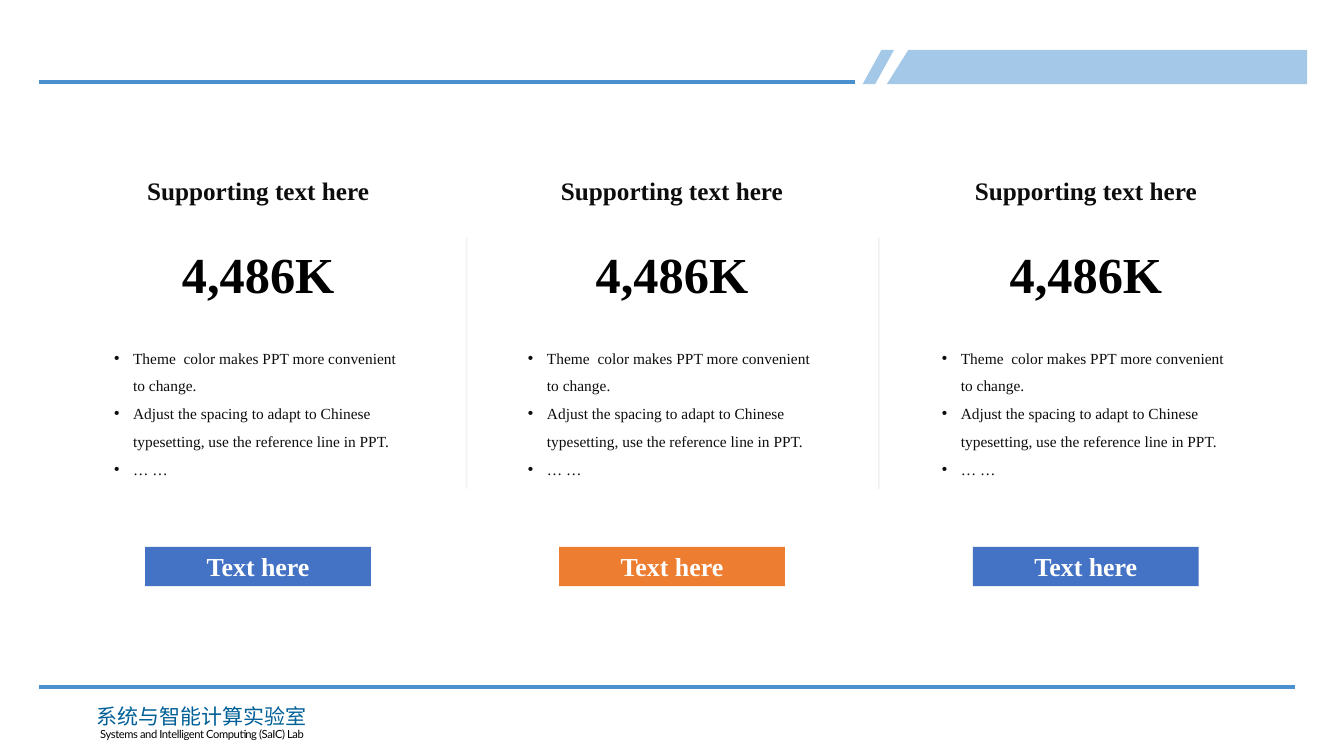
from lxml import etree
from pptx import Presentation
from pptx.dml.color import RGBColor
from pptx.enum.shapes import MSO_CONNECTOR, MSO_SHAPE
from pptx.enum.text import MSO_ANCHOR, MSO_AUTO_SIZE, PP_ALIGN
from pptx.oxml.ns import qn
from pptx.util import Cm, Pt

LINE = MSO_CONNECTOR.STRAIGHT
RECT, SLANT = MSO_SHAPE.RECTANGLE, MSO_SHAPE.PARALLELOGRAM
TOP, MIDDLE = MSO_ANCHOR.TOP, MSO_ANCHOR.MIDDLE
LEFT, CENTER = PP_ALIGN.LEFT, PP_ALIGN.CENTER
FIXED = MSO_AUTO_SIZE.NONE

HEX = {"rule": "4A90CF", "band": "3786CD", "lab": "006097", "ink": "0D0D0D",
       "black": "000000", "white": "FFFFFF", "gray": "808080",
       "blue": "4472C4", "orange": "ED7D31"}
SERIF, SANS, HAN = "Times New Roman", "Lato", "Noto Sans CJK SC"
POINTS = ["Theme  color makes PPT more convenient to change.",
          "Adjust the spacing to adapt to Chinese typesetting, "
          "use the reference line in PPT.",
          "… …"]


class Deck:
    """Holds the style and the current slide."""

    def __init__(self):
        self.prs = Presentation()
        self.prs.slide_width, self.prs.slide_height = Cm(33.87), Cm(19.05)
        self.slide = self.prs.slides.add_slide(self.prs.slide_layouts[4])
        self.shapes = self.slide.shapes

    def tint(self, color, name, alpha=100):
        color.rgb = RGBColor.from_string(HEX[name])
        if alpha < 100:
            node = color._xFill.find(qn("a:srgbClr"))
            etree.SubElement(node, qn("a:alpha"), val=str(alpha * 1000))

    def paint(self, shape, name, alpha=100):
        shape.shadow.inherit = False
        shape.line.fill.background()
        shape.fill.solid()
        self.tint(shape.fill.fore_color, name, alpha)
        return shape

    def put(self, para, text, size, color, font=SERIF, bold=False, align=CENTER):
        para.alignment = align
        run = para.add_run()
        run.text = text
        style = {"size": Pt(size), "name": font, "bold": bold}
        for key, value in style.items():
            setattr(run.font, key, value)
        self.tint(run.font.color, color)
        etree.SubElement(run._r.rPr, qn("a:ea"), typeface=font)
        return run

    def label(self, box, text, size, color, wrap=True, **style):
        frame = self.shapes.add_textbox(*map(Cm, box)).text_frame
        frame.word_wrap = wrap
        return self.put(frame.paragraphs[0], text, size, color, **style)

    def button(self, box, text, fill):
        shape = self.paint(self.shapes.add_shape(RECT, *map(Cm, box)), fill)
        shape.text_frame.vertical_anchor = MIDDLE
        self.put(shape.text_frame.paragraphs[0], text, 18.5, "white", bold=True)

    def list(self, idx, box, items):
        holder = self.slide.placeholders[idx]
        for key, value in zip(("left", "top", "width", "height"), box):
            setattr(holder, key, Cm(value))
        frame = holder.text_frame
        form = {"auto_size": FIXED, "word_wrap": True, "vertical_anchor": TOP}
        for key, value in form.items():
            setattr(frame, key, value)
        for i, item in enumerate(items):
            para = frame.add_paragraph() if i else frame.paragraphs[0]
            para.line_spacing, para.space_before = 1.5, Pt(0)
            self.put(para, item, 11, "ink", align=LEFT)
            props = para._p.get_or_add_pPr()
            props.set("marL", str(Cm(0.48)))
            props.set("indent", str(-Cm(0.48)))
            etree.SubElement(props, qn("a:buFont"), typeface="Arial")
            etree.SubElement(props, qn("a:buChar"), char="•")

    def rule(self, x1, y1, x2, y2, color, width, alpha=100):
        line = self.shapes.add_connector(LINE, *map(Cm, (x1, y1, x2, y2)))
        line.line.width = Pt(width)
        line.line.fill.solid()
        self.tint(line.line.color, color, alpha)
        etree.SubElement(line._element.spPr, qn("a:effectLst"))

    def band(self, points):
        spots = [(Cm(x), Cm(y)) for x, y in points]
        build = self.shapes.build_freeform(*spots[0])
        build.add_line_segments(spots[1:], close=True)
        self.paint(build.convert_to_shape(), "band", 45)

    def slant(self, box, skew):
        shape = self.shapes.add_shape(SLANT, *map(Cm, box))
        shape.adjustments[0] = skew
        self.paint(shape, "band", 45)

    def prune(self):
        for holder in list(self.slide.placeholders):
            if not holder.text_frame.text:
                holder._element.getparent().remove(holder._element)


def main():
    deck = Deck()

    # Header and footer
    deck.rule(0.99, 17.32, 32.64, 17.32, "rule", 3)
    deck.band([(22.89, 1.26), (32.94, 1.26), (32.94, 2.12), (22.35, 2.12)])
    deck.slant((21.74, 1.26, 0.79, 0.86), 0.6)
    deck.rule(0.99, 2.06, 21.54, 2.06, "rule", 3)
    deck.label((2.18, 17.6, 5.82, 0.89), "系统与智能计算实验室", 15, "lab", font=HAN)
    name = deck.label((1.6, 18.21, 6.99, 0.61),
                      "Systems and Intelligent Computing (SaIC) Lab",
                      8, "black", font=SANS)
    name._r.rPr.set("spc", "-30")

    # Three columns
    left, pitch, width = 2.62, 10.43, 7.77
    for i, (idx, fill) in enumerate([(1, "blue"), (2, "orange"), (4, "blue")]):
        x = left + i * pitch
        deck.label((x, 4.29, width, 1.02), "Supporting text here", 18, "ink", bold=True)
        deck.list(idx, (x, 8.43, width, 4.83), POINTS)
        deck.label((x + 1.66, 5.99, 4.45, 1.8), "4,486K", 36, "black",
                   wrap=False, bold=True)
        deck.button((x + 1.04, 13.78, 5.69, 0.99), "Text here", fill)

    # Dividers
    for x in (11.76, 22.15):
        deck.rule(x, 5.99, x, 12.32, "gray", 1, 10)

    deck.prune()
    deck.prs.save("out.pptx")


if __name__ == "__main__":
    main()
